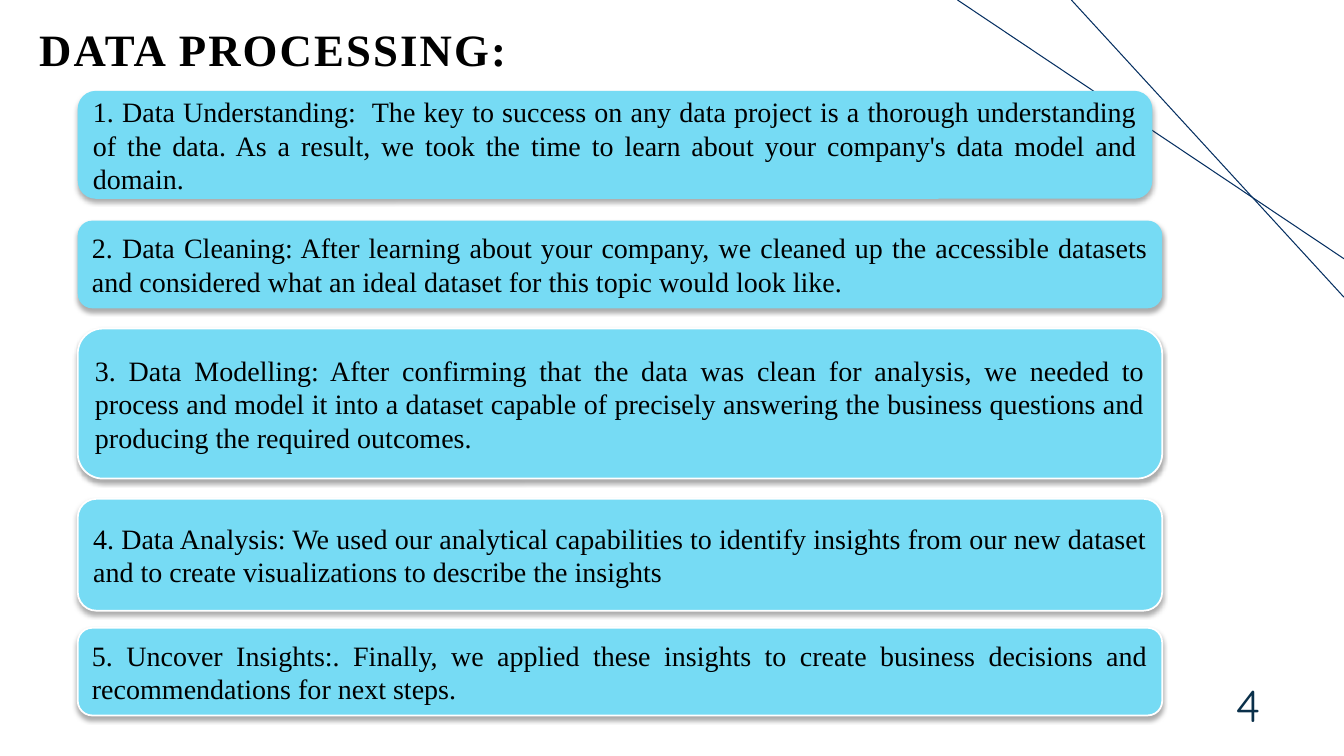
from lxml import etree
from pptx import Presentation
from pptx import util as u
from pptx.dml.color import RGBColor
from pptx.enum import shapes, text
from pptx.oxml import parse_xml

COLORS = {"ink": "000000", "step": "76DBF4", "edge": "FFFFFF",
          "accent": "052F61", "number": "0A304A"}
SERIF = "Times New Roman"
DRAWING_NS = "http://schemas.openxmlformats.org/drawingml/2006/main"
SLIDE_SIZE = (33.87, 19.05)

STEPS = [
    (2.29, 27.08, 2.72, False,
     "1. Data Understanding:  The key to success on any data project is a thorough "
     "understanding of the data. As a result, we took the time to learn about your "
     "company's data model and domain."),
    (5.56, 27.33, 2.21, False,
     "2. Data Cleaning: After learning about your company, we cleaned up the accessible "
     "datasets and considered what an ideal dataset for this topic would look like."),
    (8.28, 27.33, 3.78, True,
     "3. Data Modelling: After confirming that the data was clean for analysis, we needed "
     "to process and model it into a dataset capable of precisely answering the business "
     "questions and producing the required outcomes."),
    (12.57, 27.33, 2.82, True,
     "4. Data Analysis: We used our analytical capabilities to identify insights from our "
     "new dataset and to create visualizations to describe the insights"),
    (15.82, 27.33, 2.21, True,
     "5. Uncover Insights:. Finally, we applied these insights to create business "
     "decisions and recommendations for next steps."),
]


def color(name):
    return RGBColor.from_string(COLORS[name])


def soft_shadow():
    return parse_xml(
        f'<a:effectLst xmlns:a="{DRAWING_NS}">'
        f'<a:outerShdw blurRad="{u.Pt(3.5)}" dist="{u.Pt(2.2)}" dir="5400000" rotWithShape="0">'
        '<a:srgbClr val="000000"><a:alpha val="32000"/></a:srgbClr>'
        '</a:outerShdw></a:effectLst>')


def write(paragraph, words, size, font, ink):
    run = paragraph.add_run()
    run.text = words
    run.font.size = u.Pt(size)
    run.font.name = font
    run.font.color.rgb = color(ink)
    return run


def shade_text(run):
    fill = run.font._element.find(f"{{{DRAWING_NS}}}solidFill")
    fill.addnext(soft_shadow())


def add_label(slide, box, words, font, ink, anchor):
    label = slide.shapes.add_textbox(*map(u.Cm, box))
    frame = label.text_frame
    frame.word_wrap = False
    frame.vertical_anchor = anchor
    run = write(frame.paragraphs[0], words, 32, font, ink)
    shade_text(run)
    return run, frame.paragraphs[0]


def add_title(slide, box):
    run, line = add_label(slide, box, "DATA PROCESSING:", SERIF, "ink",
                          text.MSO_ANCHOR.MIDDLE)
    line.alignment = text.PP_ALIGN.LEFT
    run.font.bold = True
    run.font._element.set("spc", "150")


def add_page_number(slide, box):
    _, line = add_label(slide, box, "4", "Quicksand", "number",
                        text.MSO_ANCHOR.BOTTOM)
    line.alignment = text.PP_ALIGN.RIGHT


def add_corner_lines(slide, box):
    left, top, width, height = box
    right = left + width
    for start, drop in ((left, height - 0.97), (left + 2.87, height)):
        ray = slide.shapes.add_connector(
            shapes.MSO_CONNECTOR.STRAIGHT,
            u.Cm(start), u.Cm(top), u.Cm(right), u.Cm(top + drop))
        ray.line.color.rgb = color("accent")
        ray.line.width = u.Pt(0.75)
        etree.SubElement(ray._element.spPr, f"{{{DRAWING_NS}}}effectLst")


def add_step(slide, box, words, outlined):
    step = slide.shapes.add_shape(
        shapes.MSO_SHAPE.ROUNDED_RECTANGLE, *map(u.Cm, box))
    step.fill.solid()
    step.fill.fore_color.rgb = color("step")
    if outlined:
        step.line.color.rgb = color("edge")
        step.line.width = u.Pt(1.25)
    else:
        step.line.fill.background()
    step._element.spPr.append(soft_shadow())
    frame = step.text_frame
    frame.word_wrap = True
    frame.vertical_anchor = text.MSO_ANCHOR.MIDDLE
    frame.paragraphs[0].alignment = text.PP_ALIGN.JUSTIFY
    write(frame.paragraphs[0], words, 20, SERIF, "ink")


def add_steps(slide, left):
    for top, width, height, outlined, words in STEPS:
        add_step(slide, (left, top, width, height), words, outlined)


def main():
    deck = Presentation()
    deck.slide_width, deck.slide_height = map(u.Cm, SLIDE_SIZE)
    slide = deck.slides.add_slide(deck.slide_layouts[6])
    add_corner_lines(slide, (24.13, 0, 9.74, 7.49))
    add_title(slide, (0.74, 0.43, 12.47, 1.6))
    add_page_number(slide, (30.89, 17.53, 1.09, 1.02))
    add_steps(slide, 1.96)
    deck.save("out.pptx")


if __name__ == "__main__":
    main()
